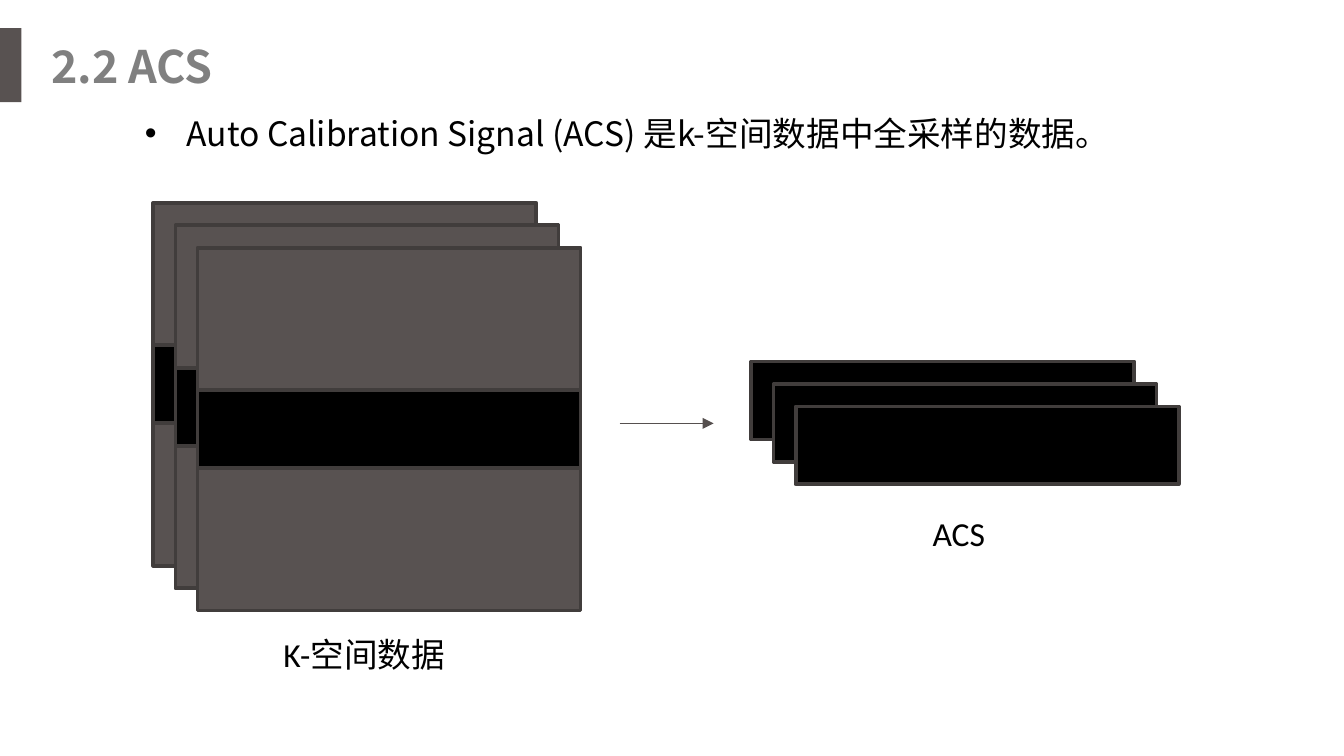
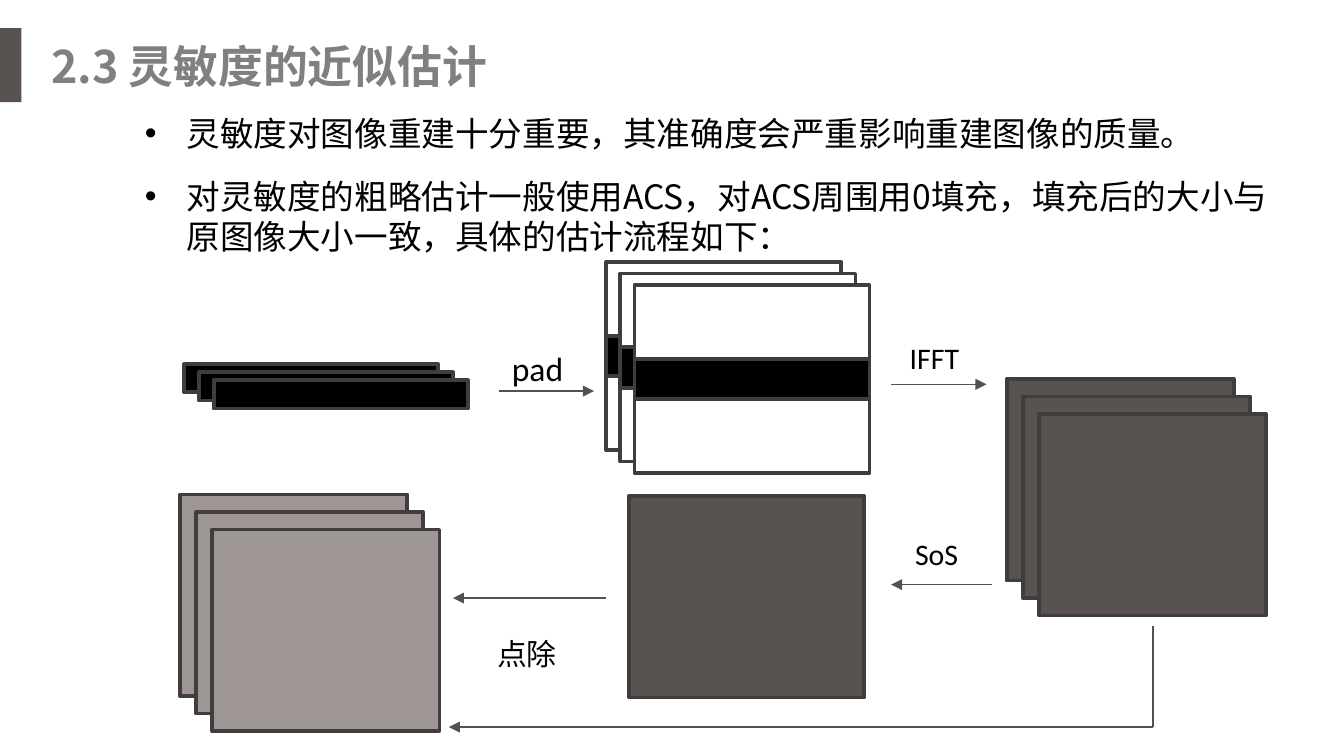
import dataclasses

import lxml.etree
import pptx
import pptx.dml.color
import pptx.enum.shapes
import pptx.enum.text
import pptx.oxml
import pptx.oxml.ns
import pptx.slide
import pptx.text.text
import pptx.util

# Slide grid: 100 columns by 56.25 rows of square cells
COLUMNS, ROWS = 100, 56.25
CELL = pptx.util.Inches(10) / COLUMNS

COLOURS = {
    "dark": "585251", "light": "9D9694", "sample": "000000", "pad": "FFFFFF",
    "outline": "413D3C", "arrow": "56504F", "title": "808080", "text": "000000",
}
HAN_FONT = "Noto Sans CJK SC"
LATIN_FONT = "Calibri"


@dataclasses.dataclass(frozen=True)
class Band:
    rows: float
    colour: str


@dataclasses.dataclass(frozen=True)
class Stack:
    """Equal sheets of horizontal bands, each shifted from the one behind."""
    col: float
    row: float
    cols: float
    bands: tuple[Band, ...]
    shift: tuple[float, float] = (0, 0)
    sheets: int = 3


@dataclasses.dataclass(frozen=True)
class Arrow:
    start: tuple[float, float]
    end: tuple[float, float]
    head: bool = True


@dataclasses.dataclass(frozen=True)
class Label:
    text: str
    col: float
    row: float
    cols: float
    rows: float
    size: float = 16
    font: str = LATIN_FONT


def cells(count: float) -> int:
    return round(count * CELL)


def rgb(name: str) -> pptx.dml.color.RGBColor:
    return pptx.dml.color.RGBColor.from_string(COLOURS[name])


def draw_box(slide: pptx.slide.Slide, col: float, row: float, cols: float,
             rows: float, colour: str, outlined: bool = True) -> None:
    box = slide.shapes.add_shape(pptx.enum.shapes.MSO_SHAPE.RECTANGLE,
                                 cells(col), cells(row), cells(cols), cells(rows))
    box.shadow.inherit = False
    box.fill.solid()
    box.fill.fore_color.rgb = rgb(colour)
    if outlined:
        box.line.color.rgb = rgb("outline")
        box.line.width = pptx.util.Pt(2)
    else:
        box.line.fill.background()


def draw_stack(slide: pptx.slide.Slide, stack: Stack) -> None:
    for sheet in range(stack.sheets):
        row = stack.row + sheet * stack.shift[1]
        placed = []
        for band in stack.bands:
            placed.append((row, band))
            row += band.rows
        # The sampled band lies over its neighbours
        for top, band in sorted(placed, key=lambda item: item[1].colour == "sample"):
            draw_box(slide, stack.col + sheet * stack.shift[0], top,
                     stack.cols, band.rows, band.colour)


def draw_arrow(slide: pptx.slide.Slide, arrow: Arrow) -> None:
    line = slide.shapes.add_connector(
        pptx.enum.shapes.MSO_CONNECTOR.STRAIGHT,
        *(cells(place) for place in arrow.start + arrow.end))
    line.line.color.rgb = rgb("arrow")
    line.line.width = pptx.util.Pt(0.75)
    if arrow.head:
        lxml.etree.SubElement(line.line._get_or_add_ln(),
                              pptx.oxml.ns.qn("a:tailEnd"), type="triangle")
    lxml.etree.SubElement(line._element.spPr, pptx.oxml.ns.qn("a:effectLst"))


def add_frame(slide: pptx.slide.Slide, col: float, row: float, cols: float,
              rows: float) -> pptx.text.text.TextFrame:
    frame = slide.shapes.add_textbox(cells(col), cells(row),
                                     cells(cols), cells(rows)).text_frame
    frame.word_wrap = True
    frame.auto_size = pptx.enum.text.MSO_AUTO_SIZE.SHAPE_TO_FIT_TEXT
    return frame


def add_run(paragraph: pptx.text.text._Paragraph, text: str, size: float,
            font: str, colour: str = "text", bold: bool = False) -> None:
    run = paragraph.add_run()
    run.text = text
    run.font.size = pptx.util.Pt(size)
    run.font.name = font
    run.font.bold = bold
    run.font.color.rgb = rgb(colour)
    han = lxml.etree.Element(pptx.oxml.ns.qn("a:ea"), typeface=HAN_FONT)
    run._r.rPr.find(pptx.oxml.ns.qn("a:latin")).addnext(han)


def draw_label(slide: pptx.slide.Slide, label: Label) -> None:
    frame = add_frame(slide, label.col, label.row, label.cols, label.rows)
    add_run(frame.paragraphs[0], label.text, label.size, label.font)


def draw_title(slide: pptx.slide.Slide, title: str) -> None:
    draw_box(slide, 0, 2.1, 1.6, 5.5, "dark", outlined=False)
    frame = add_frame(slide, 3.1, 2.5, 57.5, 4.8)
    frame.margin_left = frame.margin_right = cells(0.7)
    frame.margin_top = frame.margin_bottom = cells(0.4)
    add_run(frame.paragraphs[0], title, 24, HAN_FONT, "title", bold=True)


def draw_points(slide: pptx.slide.Slide, points: tuple[str, ...], rows: float) -> None:
    frame = add_frame(slide, 9.8, 7.9, 86.6, rows)
    for index, point in enumerate(points):
        paragraph = frame.add_paragraph() if index else frame.paragraphs[0]
        paragraph.space_before = paragraph.space_after = pptx.util.Pt(6)
        properties = paragraph._p.get_or_add_pPr()
        properties.set("marL", str(cells(3.1)))
        properties.set("indent", str(-cells(3.1)))
        lxml.etree.SubElement(properties, pptx.oxml.ns.qn("a:buFont"), typeface="Arial")
        lxml.etree.SubElement(properties, pptx.oxml.ns.qn("a:buChar"), char="•")
        add_run(paragraph, point, 18, HAN_FONT)


def build_slide(deck: pptx.presentation.Presentation, title: str,
                points: tuple[str, ...], point_rows: float,
                stacks: tuple[Stack, ...], arrows: tuple[Arrow, ...],
                labels: tuple[Label, ...]) -> None:
    slide = deck.slides.add_slide(deck.slide_layouts[6])
    draw_title(slide, title)
    draw_points(slide, points, point_rows)
    for stack in stacks:
        draw_stack(slide, stack)
    for arrow in arrows:
        draw_arrow(slide, arrow)
    for label in labels:
        draw_label(slide, label)


def sampled(edge: str, edge_rows: float, sample_rows: float) -> tuple[Band, ...]:
    outer = Band(edge_rows, edge)
    return outer, Band(sample_rows, "sample"), outer


deck = pptx.Presentation()
deck.slide_width, deck.slide_height = cells(COLUMNS), cells(ROWS)

# Calibration signal taken from the k-space data
K_SHIFT = (1.65, 1.67)
build_slide(
    deck, "2.2 ACS",
    ("Auto Calibration Signal (ACS) 是k-空间数据中全采样的数据。",), 4,
    stacks=(
        Stack(11.4, 15.1, 28.5, sampled("dark", 10.6, 5.8), K_SHIFT),
        Stack(55.9, 26.9, 28.5, (Band(5.8, "sample"),), K_SHIFT),
    ),
    arrows=(Arrow((46.1, 31.5), (53.1, 31.5)),),
    labels=(
        Label("K-空间数据", 20.1, 46.7, 18.5, 7.1, 18),
        Label("ACS", 68.4, 37.7, 18.5, 7.1, 18),
    ),
)

# Steps of the sensitivity estimate
IMAGE_SHIFT = (1.2, 1.3)
IMAGE_ROWS = 15
build_slide(
    deck, "2.3 灵敏度的近似估计",
    ("灵敏度对图像重建十分重要，其准确度会严重影响重建图像的质量。",
     "对灵敏度的粗略估计一般使用ACS，对ACS周围用0填充，"
     "填充后的大小与原图像大小一致，具体的估计流程如下："), 18.7,
    stacks=(
        Stack(13.7, 27.1, 18.9, (Band(2.1, "sample"),), (1.1, 0.6)),
        Stack(45.1, 19.5, 17.5, sampled("pad", 5.5, 3), (1.05, 0.85)),
        Stack(74.9, 28.2, 16.9, (Band(IMAGE_ROWS, "dark"),), IMAGE_SHIFT),
        Stack(46.8, 36.9, 17.5, (Band(IMAGE_ROWS, "dark"),), sheets=1),
        Stack(13.4, 36.8, 16.9, (Band(IMAGE_ROWS, "light"),), IMAGE_SHIFT),
    ),
    arrows=(
        Arrow((37.1, 29.1), (44.2, 29.1)),
        Arrow((66.3, 28.6), (73.4, 28.6)),
        Arrow((73.8, 43.5), (66.3, 43.5)),
        Arrow((45.1, 44.5), (33.7, 44.5)),
        Arrow((85.8, 46.6), (85.8, 54.1), head=False),
        Arrow((85.8, 54.1), (33.4, 54.1)),
    ),
    labels=(
        Label("pad", 37.1, 25.4, 6.1, 4, 18),
        Label("IFFT", 66.7, 24.8, 6.1, 3.7),
        Label("SoS", 67.1, 39.4, 6.1, 3.7),
        Label("点除", 36, 46.8, 7.4, 3.7, font=HAN_FONT),
    ),
)

deck.save("out.pptx")
